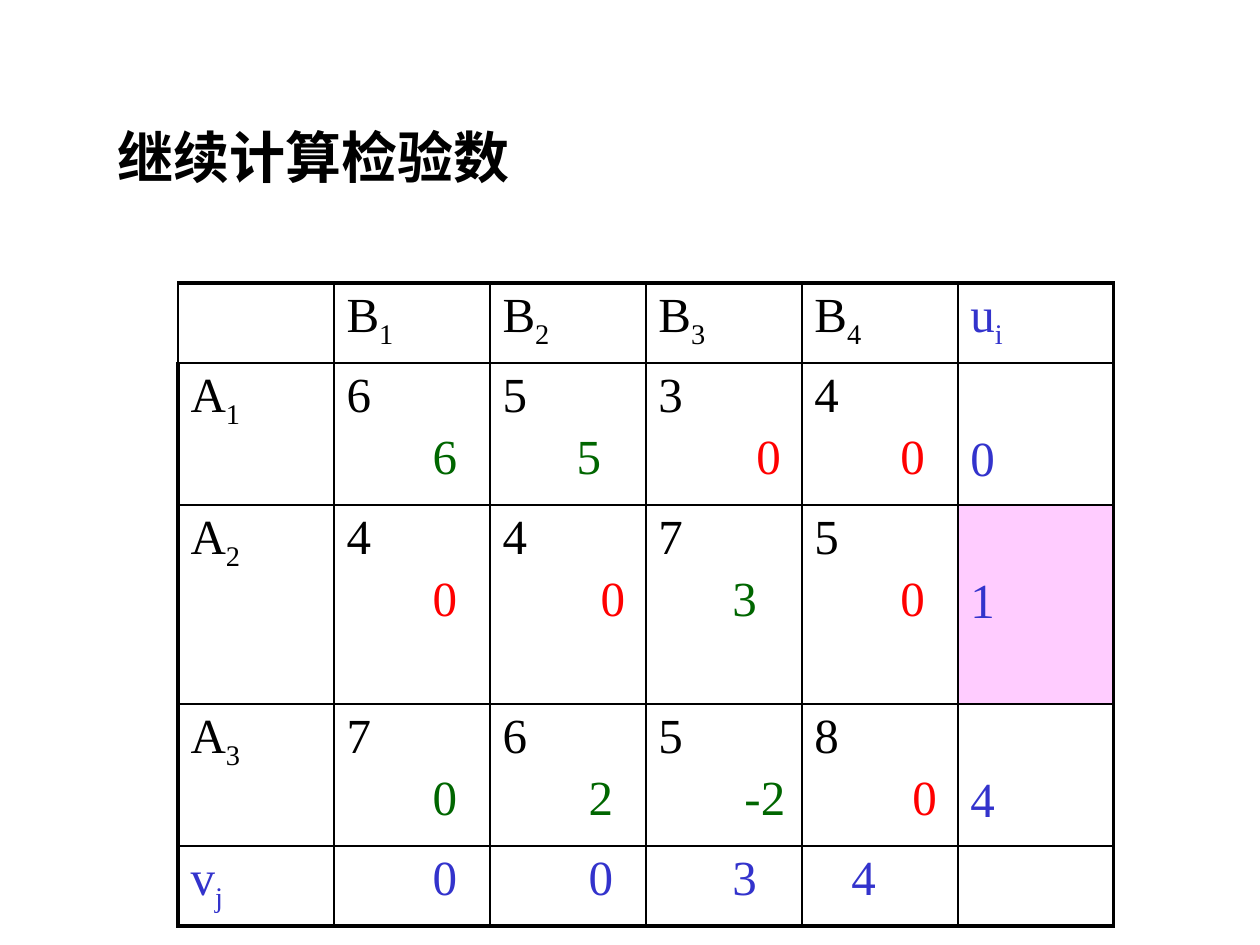
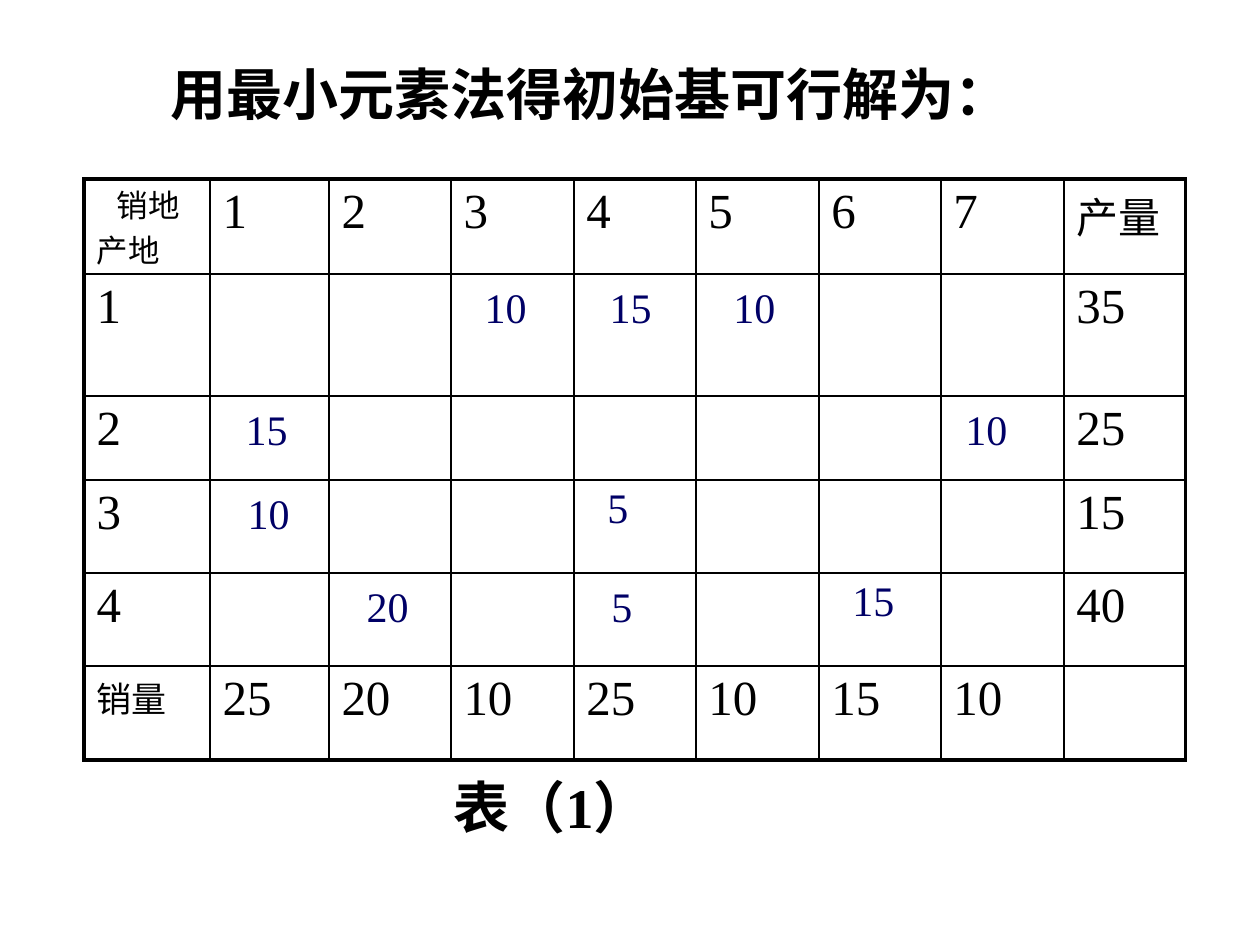
from pptx import Presentation
from pptx import util as u
from pptx.dml import color
from pptx.enum import text
from pptx.oxml import ns, xmlchemy as xml

HUES = {
    "black": "000000",
    "blue": "3333CC",
    "green": "006600",
    "red": "FF0000",
    "navy": "000066",
    "pink": "FFCCFF",
}
FONT = "Times New Roman"
PX = 914400 / 126
PAD = 6
DROP = 12
THIN, THICK = 1, 2.25


def px(n):
    return u.Emu(round(n * PX))


def rgb(hue):
    return color.RGBColor.from_string(HUES[hue])


class Deck:
    def __init__(self):
        self.prs = Presentation()
        self.prs.slide_width = px(1260)
        self.prs.slide_height = px(945)
        self.slide = None

    def page(self, title, *box):
        self.slide = self.prs.slides.add_slide(self.prs.slide_layouts[5])
        self.head(self.slide.shapes.title, title, box)

    def note(self, words, *box):
        self.head(self.slide.shapes.add_textbox(0, 0, 0, 0), words, box)

    def head(self, shape, words, box):
        shape.left, shape.top, shape.width, shape.height = map(px, box)
        frame = shape.text_frame
        frame.word_wrap = True
        frame.auto_size = text.MSO_AUTO_SIZE.NONE
        frame.vertical_anchor = text.MSO_ANCHOR.TOP
        para = frame.paragraphs[0]
        para.alignment = text.PP_ALIGN.LEFT
        self.line(para, words, size=32, bold=True)

    def line(self, para, words, hue="black", indent=0, size=28, bold=False):
        base, _, sub = words.partition("_")
        para.text = base
        if sub:
            low = para.add_run()
            low.text = sub
            low.font._element.set("baseline", "-25000")
        if indent:
            props = para._p.get_or_add_pPr()
            props.set("marL", str(px(indent)))
            props.set("indent", "0")
        for run in para.runs:
            font = run.font
            font.name, font.size, font.bold = FONT, u.Pt(size), bold
            font.color.rgb = rgb(hue)

    def grid(self, left, top, cols, rows):
        frame = self.slide.shapes.add_table(
            len(rows), len(cols), px(left), px(top), px(sum(cols)), px(sum(rows)))
        table = frame.table
        table.first_row = table.horz_banding = False
        for col, wide in zip(table.columns, cols):
            col.width = px(wide)
        for row, high in zip(table.rows, rows):
            row.height = px(high)
        for r in range(len(rows)):
            for c in range(len(cols)):
                cell = table.cell(r, c)
                self.edge(cell, L=c == 0, R=c == len(cols) - 1,
                          T=r == 0, B=r == len(rows) - 1)
                cell.fill.background()
        return table

    def edge(self, cell, **sides):
        props = cell._tc.get_or_add_tcPr()
        for side, outer in sides.items():
            for old in props.findall(ns.qn(f"a:ln{side}")):
                props.remove(old)
            ln = xml.OxmlElement(f"a:ln{side}")
            ln.set("w", str(u.Pt(THICK if outer else THIN)))
            fill = xml.OxmlElement("a:solidFill")
            tint = xml.OxmlElement("a:srgbClr")
            tint.set("val", HUES["black"])
            fill.append(tint)
            ln.append(fill)
            props.insert("LRTB".index(side), ln)

    def put(self, cell, *lines, top=PAD):
        cell.margin_top = px(top)
        frame = cell.text_frame
        for i, parts in enumerate(lines):
            para = frame.add_paragraph() if i else frame.paragraphs[0]
            if i:
                para.space_before = u.Pt(4.5)
            self.line(para, *parts)


def check(deck):
    deck.page("继续计算检验数", 105, 116, 977, 79)
    table = deck.grid(178, 283, [156] * 6, [80, 142, 199, 142, 80])
    deck.edge(table.cell(0, 0), L=False)
    for c in range(1, 5):
        deck.put(table.cell(0, c), (f"B_{c}",))
    deck.put(table.cell(0, 5), ("u_i", "blue"))
    costs = ["6534", "4475", "7658"]
    tests = [
        [("6", "green", 86), ("5", "green", 74), ("0", "red", 98), ("0", "red", 86)],
        [("0", "red", 86), ("0", "red", 98), ("3", "green", 74), ("0", "red", 86)],
        [("0", "green", 86), ("2", "green", 86), ("-2", "green", 86), ("0", "red", 98)],
    ]
    for r, (cost, test, mult) in enumerate(zip(costs, tests, "014"), 1):
        deck.put(table.cell(r, 0), (f"A_{r}",))
        for c, (price, mark) in enumerate(zip(cost, test), 1):
            deck.put(table.cell(r, c), (price,), mark)
        deck.put(table.cell(r, 5), (mult, "blue"), top=70)
    fill = table.cell(2, 5).fill
    fill.solid()
    fill.fore_color.rgb = rgb("pink")
    deck.put(table.cell(4, 0), ("v_j", "blue"))
    for c, (mult, indent) in enumerate(zip("0034", [86, 86, 74, 37]), 1):
        deck.put(table.cell(4, c), (mult, "blue", indent))


def start(deck):
    deck.page("用最小元素法得初始基可行解为：", 158, 53, 945, 79)
    table = deck.grid(84, 179, [126, 119] + [122, 123] * 3 + [122],
                      [95, 122, 84, 93, 93, 94])
    corner = table.cell(0, 0)
    deck.put(corner, ("销地", "black", 20, 18), ("产地", "black", 0, 18), top=2)
    corner.margin_bottom = 0
    for para in corner.text_frame.paragraphs:
        para.line_spacing = u.Pt(26)
        para.space_before = u.Pt(0)
    for c, need in enumerate([25, 20, 10, 25, 10, 15, 10], 1):
        deck.put(table.cell(0, c), (str(c),))
        deck.put(table.cell(5, c), (str(need),))
    for r, yields in enumerate([35, 25, 15, 40], 1):
        deck.put(table.cell(r, 0), (str(r),))
        deck.put(table.cell(r, 8), (str(yields),))
    deck.put(table.cell(0, 8), ("产量", "black", 0, 24))
    deck.put(table.cell(5, 0), ("销量", "black", 0, 20))
    loads = [
        (1, 3, "10", 21, DROP), (1, 4, "15", 23, DROP), (1, 5, "10", 25, DROP),
        (2, 1, "15", 23, DROP), (2, 7, "10", 12, DROP),
        (3, 1, "10", 25, DROP), (3, 4, "5", 21, PAD),
        (4, 2, "20", 25, DROP), (4, 4, "5", 25, DROP), (4, 6, "15", 21, PAD),
    ]
    for r, c, load, indent, top in loads:
        deck.put(table.cell(r, c), (load, "navy", indent, 24), top=top)
    deck.note("表（1）", 441, 766, 252, 79)


def main():
    deck = Deck()
    check(deck)
    start(deck)
    deck.prs.save("out.pptx")


if __name__ == "__main__":
    main()
